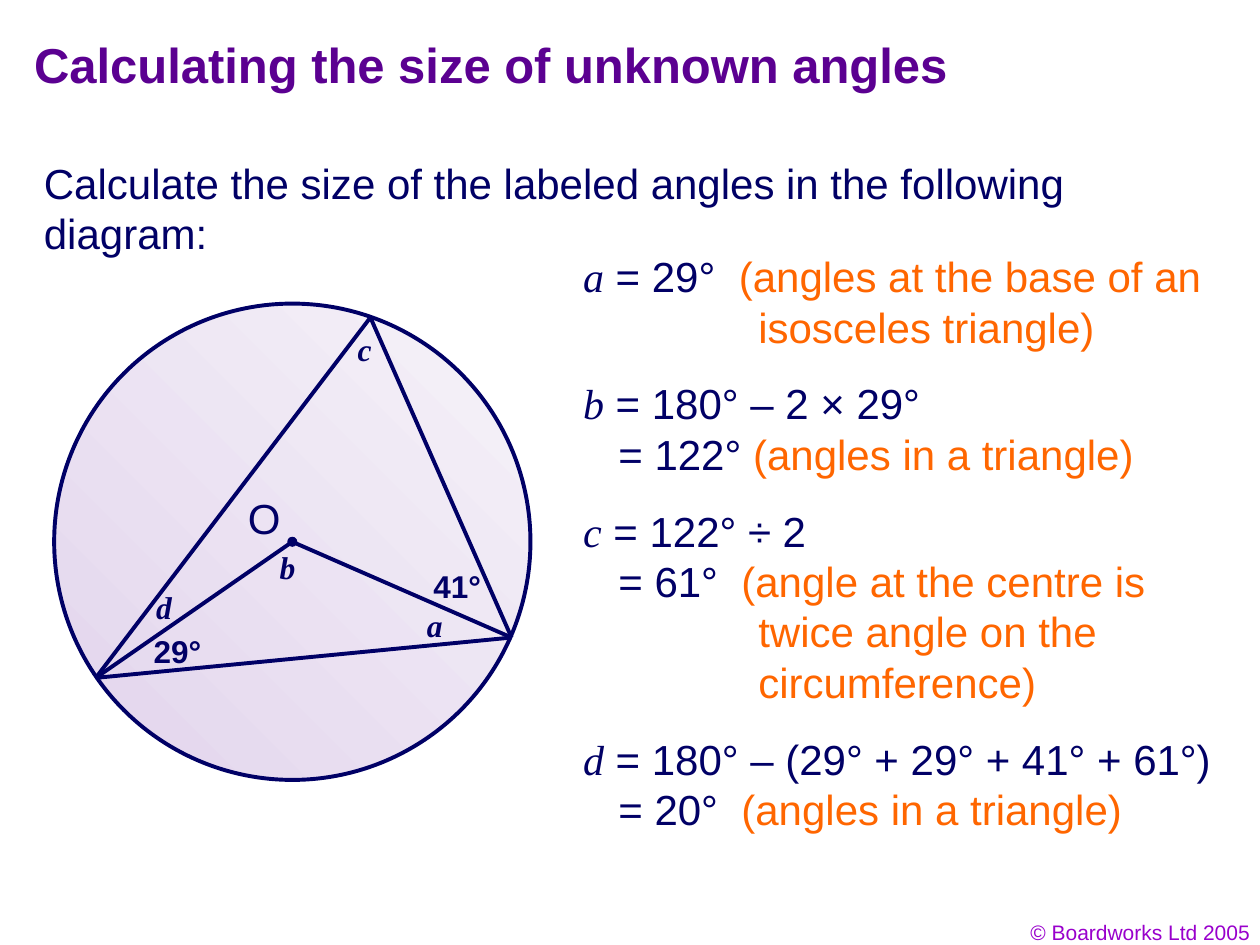
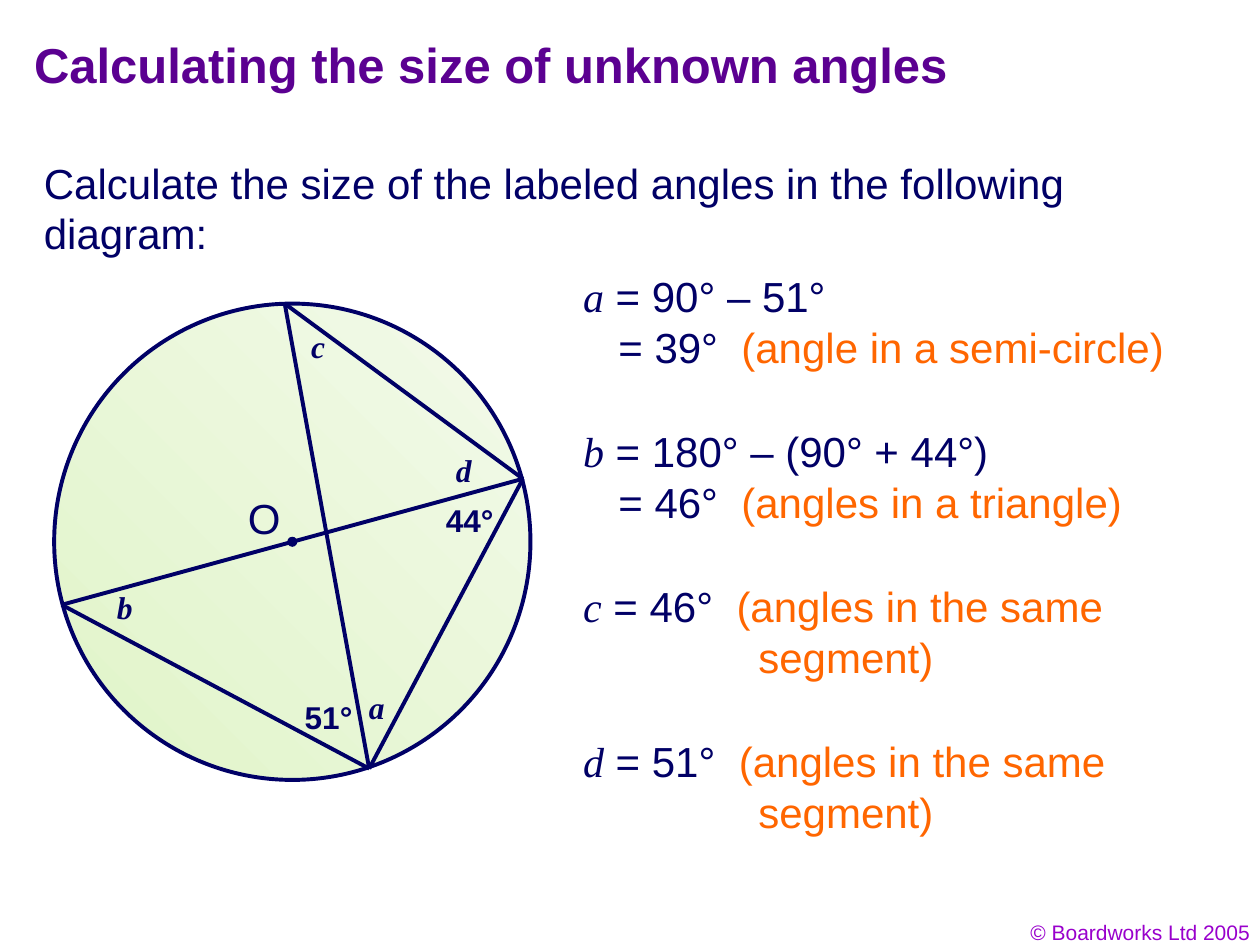
"""Build two slides on finding unknown angles in circle diagrams."""
import pptx
import pptx.util
import pptx.dml.color
import pptx.enum.shapes
import pptx.enum.text
import pptx.oxml.ns
import lxml.etree

Inches, Pt = pptx.util.Inches, pptx.util.Pt
ALIGN = pptx.enum.text.PP_ALIGN
ANCHOR = pptx.enum.text.MSO_ANCHOR
OVAL = pptx.enum.shapes.MSO_SHAPE.OVAL
STRAIGHT = pptx.enum.shapes.MSO_CONNECTOR.STRAIGHT
COLORS = {"title": "5B0091", "text": "010066", "reason": "FF6600",
          "line": "000066", "footer": "9900CC"}
SANS, SERIF = "Arial", "Times New Roman"
CENTRE, RADIUS, DOT_RADIUS = (2.32, 4.3), 1.89, 0.04
RESULT, CONTINUED = 0.28, 1.39


def rgb(value):
    return pptx.dml.color.RGBColor.from_string(value)


def add_run(p, text, size, color="text", font=SANS, bold=False, italic=False):
    r = p.add_run()
    r.text = text
    r.font.size, r.font.name = Pt(size), font
    r.font.bold, r.font.italic = bold, italic
    r.font.color.rgb = rgb(COLORS[color])


slides = [
    {
        "gradient": ("F6F3F9", "E2D4EC"),
        "points": {"top": (2.94, 2.52), "right": (4.06, 5.06),
                   "left": (0.76, 5.38), "O": CENTRE},
        "segments": [("top", "right"), ("left", "right"), ("O", "right"),
                     ("left", "top"), ("left", "O")],
        "angles": [("29°", 1.12, 4.97), ("41°", 3.34, 4.45)],
        "letters": [("c", 2.74, 2.57), ("d", 1.14, 4.62),
                    ("b", 2.12, 4.3), ("a", 3.29, 4.76)],
        "top": 1.94,
        "gap": 0.11,
        "answers": [
            ("a", [(0, " = 29°  ", "(angles at the base of an"),
                   (CONTINUED, "", "isosceles triangle)")]),
            ("b", [(0, " = 180° – 2 × 29°", ""),
                   (RESULT, "= 122° ", "(angles in a triangle)")]),
            ("c", [(0, " = 122° ÷ 2", ""),
                   (RESULT, "= 61°  ", "(angle at the centre is"),
                   (CONTINUED, "", "twice angle on the"),
                   (CONTINUED, "", "circumference)")]),
            ("d", [(0, " = 180° – (29° + 29° + 41° + 61°)", ""),
                   (RESULT, "= 20°  ", "(angles in a triangle)")]),
        ],
    },
    {
        "gradient": ("F3FAEA", "E0F4C8"),
        "points": {"top": (2.26, 2.41), "right": (4.15, 3.8),
                   "left": (0.49, 4.8), "bottom": (2.93, 6.1)},
        "segments": [("left", "right"), ("bottom", "top"), ("left", "bottom"),
                     ("bottom", "right"), ("right", "top")],
        "angles": [("44°", 3.44, 3.93), ("51°", 2.32, 5.49)],
        "letters": [("c", 2.37, 2.55), ("b", 0.83, 4.62),
                    ("a", 2.83, 5.41), ("d", 3.52, 3.53)],
        "top": 2.1,
        "gap": 0.33,
        "answers": [
            ("a", [(0, " = 90° – 51°", ""),
                   (RESULT, "= 39°  ", "(angle in a semi-circle)")]),
            ("b", [(0, " = 180° – (90° + 44°)", ""),
                   (RESULT, "= 46°  ", "(angles in a triangle)")]),
            ("c", [(0, " = 46°  ", "(angles in the same"),
                   (CONTINUED, "", "segment)")]),
            ("d", [(0, " = 51°  ", "(angles in the same"),
                   (CONTINUED, "", "segment)")]),
        ],
    },
]

prs = pptx.Presentation()
prs.slide_width, prs.slide_height = Inches(10), Inches(7.5)

for content in slides:
    s = prs.slides.add_slide(prs.slide_layouts[5])
    title = s.shapes.title
    title.left, title.top = Inches(0.17), Inches(0.17)
    title.width, title.height = Inches(8.5), Inches(0.67)
    title.text_frame.vertical_anchor = ANCHOR.MIDDLE
    p = title.text_frame.paragraphs[0]
    p.alignment = ALIGN.LEFT
    add_run(p, "Calculating the size of unknown angles", 28, "title", bold=True)

    footer = s.shapes.add_textbox(Inches(7.69), Inches(7.25), Inches(2.33), Inches(0.3))
    footer.text_frame.word_wrap = True
    p = footer.text_frame.paragraphs[0]
    p.alignment = ALIGN.RIGHT
    add_run(p, "© Boardworks Ltd 2005", 12, "footer")

    task = s.shapes.add_textbox(Inches(0.25), Inches(1.2), Inches(9.55), Inches(0.9))
    task.text_frame.word_wrap = True
    add_run(task.text_frame.paragraphs[0],
            "Calculate the size of the labeled angles in the following diagram:", 24)

    for radius in (RADIUS, DOT_RADIUS):
        sp = s.shapes.add_shape(OVAL, Inches(CENTRE[0] - radius), Inches(CENTRE[1] - radius),
                                Inches(2 * radius), Inches(2 * radius))
        sp.shadow.inherit = False
        if radius == RADIUS:
            sp.fill.gradient()
            sp.fill.gradient_angle = 225
            for stop, color in zip(sp.fill.gradient_stops, content["gradient"]):
                stop.color.rgb = rgb(color)
            sp.line.color.rgb = rgb(COLORS["line"])
            sp.line.width = Pt(2.25)
        else:
            sp.fill.solid()
            sp.fill.fore_color.rgb = rgb(COLORS["line"])
            sp.line.fill.background()

    for start, end in content["segments"]:
        (x1, y1), (x2, y2) = content["points"][start], content["points"][end]
        segment = s.shapes.add_connector(STRAIGHT, Inches(x1), Inches(y1),
                                         Inches(x2), Inches(y2))
        segment.line.color.rgb = rgb(COLORS["line"])
        segment.line.width = Pt(2.25)
        lxml.etree.SubElement(segment._element.spPr, pptx.oxml.ns.qn("a:effectLst"))

    labels = [("O", 1.87, 3.86, 0.46, 24, SANS, False, False)]
    labels += [(*angle, 0.58, 18, SANS, True, False) for angle in content["angles"]]
    labels += [(*letter, 0.32, 18, SERIF, True, True) for letter in content["letters"]]
    for text, x, y, width, size, font, bold, italic in labels:
        label = s.shapes.add_textbox(Inches(x), Inches(y), Inches(width),
                                     Inches(0.1 + size / 60))
        label.text_frame.word_wrap = False
        add_run(label.text_frame.paragraphs[0], text, size, font=font,
                bold=bold, italic=italic)

    top = content["top"]
    for letter, lines in content["answers"]:
        height = 0.1 + 0.4 * len(lines)
        answer = s.shapes.add_textbox(Inches(4.53), Inches(top), Inches(5.3), Inches(height))
        tf = answer.text_frame
        tf.word_wrap = True
        for i, (indent, working, reason) in enumerate(lines):
            p = tf.add_paragraph() if i else tf.paragraphs[0]
            p._p.get_or_add_pPr().set("marL", str(Inches(indent)))
            if i == 0:
                add_run(p, letter, 24, font=SERIF, italic=True)
            if working:
                add_run(p, working, 24)
            if reason:
                add_run(p, reason, 24, "reason")
        top += height + content["gap"]

prs.save("out.pptx")
